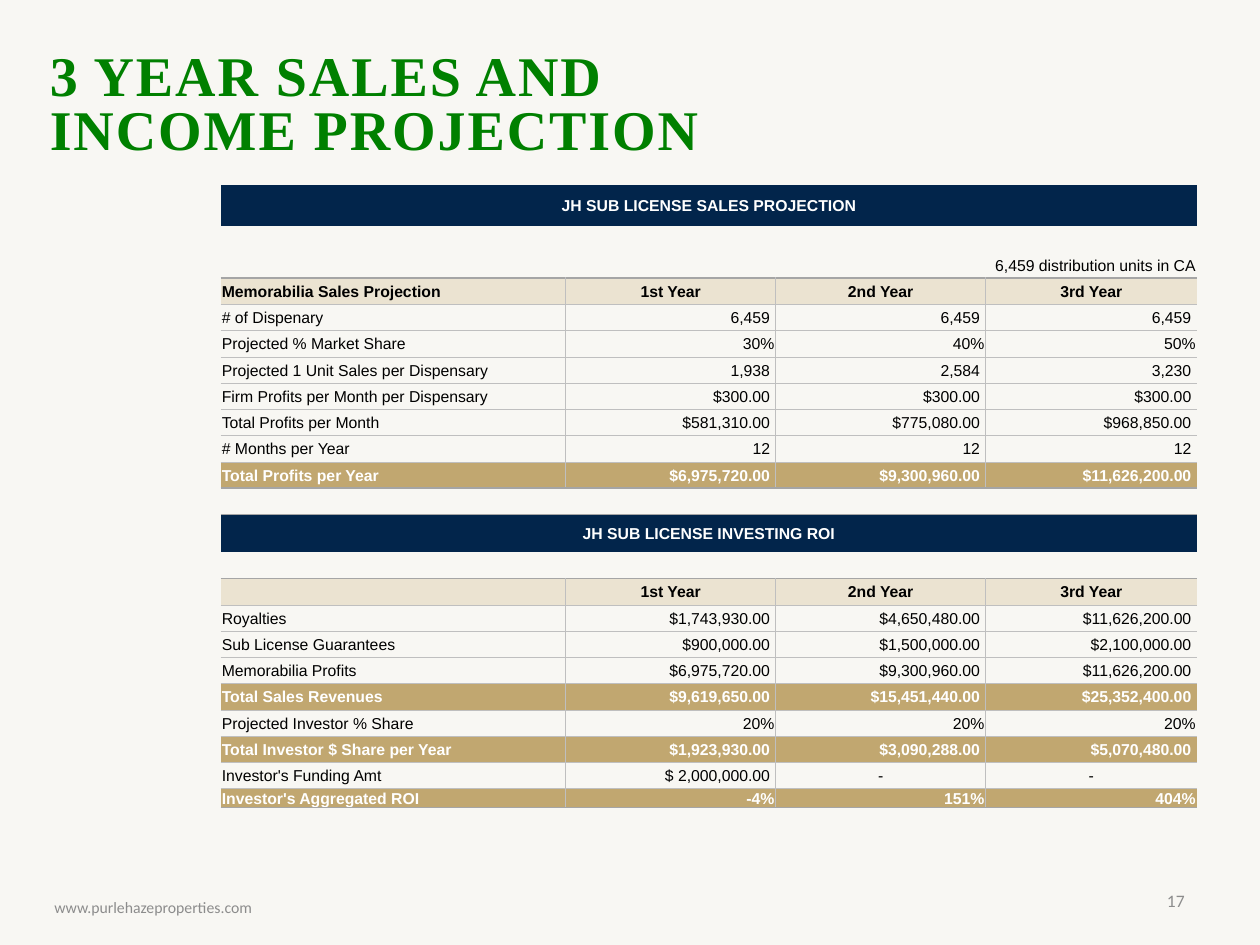
import lxml.etree
import pptx
import pptx.util
import pptx.dml.color
import pptx.enum.text
import pptx.oxml.ns

RGBColor = pptx.dml.color.RGBColor
ALIGN = pptx.enum.text.PP_ALIGN
ANCHOR = pptx.enum.text.MSO_ANCHOR
qn = pptx.oxml.ns.qn
PX = 9525

PAPER = RGBColor(0xF8, 0xF7, 0xF3)
GREEN = RGBColor(0x00, 0x80, 0x00)
NAVY = RGBColor(0x02, 0x25, 0x4B)
SAND = RGBColor(0xEB, 0xE3, 0xD1)
GOLD = RGBColor(0xC1, 0xA7, 0x70)
BLACK = RGBColor(0x00, 0x00, 0x00)
WHITE = RGBColor(0xFF, 0xFF, 0xFF)
FOOTER_GREY = RGBColor(0x8C, 0x8C, 0x8C)
LIGHT_RULE = (RGBColor(0xBF, 0xBF, 0xBF), 0.5)
HEAVY_RULE = (RGBColor(0xA5, 0xA5, 0xA5), 1)

ROW_STYLES = {
    "banner": (NAVY, WHITE, True),
    "gap": (None, BLACK, False),
    "note": (None, BLACK, False),
    "head": (SAND, BLACK, True),
    "body": (None, BLACK, False),
    "total": (GOLD, WHITE, True),
}
GRID_KINDS = ("head", "body", "total")
YEARS = ("1st Year", "2nd Year", "3rd Year")
ROWS = [
    ("banner", "JH SUB LICENSE SALES PROJECTION"),
    ("gap",),
    ("note", "6,459 distribution units in CA"),
    ("head", "Memorabilia Sales Projection", *YEARS),
    ("body", "# of Dispenary", "6,459 ", "6,459 ", "6,459 "),
    ("body", "Projected % Market Share", "30%", "40%", "50%"),
    ("body", "Projected 1 Unit Sales per Dispensary", "1,938 ", "2,584 ", "3,230 "),
    ("body", "Firm Profits per Month per Dispensary", "$300.00 ", "$300.00 ", "$300.00 "),
    ("body", "Total Profits per Month", "$581,310.00 ", "$775,080.00 ", "$968,850.00 "),
    ("body", "# Months per Year", "12 ", "12 ", "12 "),
    ("total", "Total Profits per Year", "$6,975,720.00 ", "$9,300,960.00 ", "$11,626,200.00 "),
    ("gap",),
    ("banner", "JH SUB LICENSE INVESTING ROI"),
    ("gap",),
    ("head", "", *YEARS),
    ("body", "Royalties", "$1,743,930.00 ", "$4,650,480.00 ", "$11,626,200.00 "),
    ("body", "Sub License Guarantees", "$900,000.00 ", "$1,500,000.00 ", "$2,100,000.00 "),
    ("body", "Memorabilia Profits", "$6,975,720.00 ", "$9,300,960.00 ", "$11,626,200.00 "),
    ("total", "Total Sales Revenues", "$9,619,650.00 ", "$15,451,440.00 ", "$25,352,400.00 "),
    ("body", "Projected Investor % Share", "20%", "20%", "20%"),
    ("total", "Total Investor $ Share per Year", "$1,923,930.00 ", "$3,090,288.00 ", "$5,070,480.00 "),
    ("body", "Investor's Funding Amt", "$ 2,000,000.00 ", "-", "-"),
    ("total", "Investor's Aggregated ROI", "-4%", "151%", "404%"),
]
COLUMN_WIDTHS = (263, 160, 160, 161)
ROW_HEIGHTS = [20] * len(ROWS)
ROW_HEIGHTS[0], ROW_HEIGHTS[12], ROW_HEIGHTS[-1] = 31, 29, 12


def format_font(font, size, name, color, bold=False):
    for key, value in {"size": pptx.util.Pt(size), "name": name, "bold": bold}.items():
        setattr(font, key, value)
    font.color.rgb = color


def rule_between(first, second):
    in_grid = [kind in GRID_KINDS for kind in (first, second)]
    if all(in_grid):
        return LIGHT_RULE
    return HEAVY_RULE if any(in_grid) else None


deck = pptx.Presentation()
deck.slide_width, deck.slide_height = 960 * PX, 720 * PX
slide = deck.slides.add_slide(deck.slide_layouts[5])
slide.background.fill.solid()
slide.background.fill.fore_color.rgb = PAPER

heading = slide.shapes.title
for key, value in {"left": 38, "top": 41, "width": 506, "height": 230}.items():
    setattr(heading, key, value * PX)
heading.text = "3 YEAR SALES AND INCOME PROJECTION"
for key, value in {
    "margin_left": 0, "margin_right": 0, "margin_top": 0, "margin_bottom": 0,
    "vertical_anchor": ANCHOR.TOP, "word_wrap": True,
    "auto_size": pptx.enum.text.MSO_AUTO_SIZE.NONE,
}.items():
    setattr(heading.text_frame, key, value)
heading_line = heading.text_frame.paragraphs[0]
heading_line.alignment = ALIGN.LEFT
heading_line.line_spacing = 0.8
format_font(heading_line.runs[0].font, 32, "Times New Roman", GREEN, True)
heading_line.runs[0].font._element.set("spc", "110")

projection = slide.shapes.add_table(
    len(ROWS), 4, 168 * PX, 141 * PX, sum(COLUMN_WIDTHS) * PX, sum(ROW_HEIGHTS) * PX
).table
projection.first_row = projection.horz_banding = False
projection._tbl.tblPr.find(qn("a:tableStyleId")).text = "{2D5ABB26-0587-4C30-8999-92F81FD0307C}"
for column, width in zip(projection.columns, COLUMN_WIDTHS):
    column.width = width * PX
for row, height in zip(projection.rows, ROW_HEIGHTS):
    row.height = height * PX

kinds = [kind for kind, *_ in ROWS]
for r, (kind, *texts) in enumerate(ROWS):
    fill_color, text_color, bold = ROW_STYLES[kind]
    above = kinds[r - 1] if r else None
    below = kinds[r + 1] if r + 1 < len(ROWS) else None
    if kind in ("banner", "note"):
        projection.cell(r, 0).merge(projection.cell(r, 3))
    for c in range(4):
        cell = projection.cell(r, c)
        for key, value in {
            "margin_left": PX, "margin_right": PX, "margin_top": PX, "margin_bottom": 0,
            "vertical_anchor": ANCHOR.MIDDLE,
        }.items():
            setattr(cell, key, value)

        side_rule = LIGHT_RULE if kind in GRID_KINDS else None
        edges = {
            "a:lnL": side_rule if c > 0 else None,
            "a:lnR": side_rule if c < 3 else None,
            "a:lnT": rule_between(above, kind),
            "a:lnB": rule_between(kind, below),
        }
        for tag, rule in edges.items():
            if rule:
                color, points = rule
                edge = lxml.etree.SubElement(
                    cell._tc.get_or_add_tcPr(), qn(tag), w=str(int(pptx.util.Pt(points))))
                edge_fill = lxml.etree.SubElement(edge, qn("a:solidFill"))
                lxml.etree.SubElement(edge_fill, qn("a:srgbClr"), val=str(color))
        if fill_color is None:
            cell.fill.background()
        else:
            cell.fill.solid()
            cell.fill.fore_color.rgb = fill_color

        line = cell.text_frame.paragraphs[0]
        text = texts[c] if c < len(texts) else ""
        if not text:
            lxml.etree.SubElement(line._p, qn("a:endParaRPr"), sz="900")
            continue
        if kind == "banner" or text == "-" or (kind == "head" and c):
            line.alignment = ALIGN.CENTER
        elif kind == "note" or c:
            line.alignment = ALIGN.RIGHT
        else:
            line.alignment = ALIGN.LEFT
        run = line.add_run()
        run.text = text
        format_font(run.font, 9, "Arial", text_color, bold)

for text, left, top, width, size, alignment in (
    ("www.purlehazeproperties.com", 32, 672, 304, 9, ALIGN.LEFT),
    ("17", 688, 667, 224, 10, ALIGN.RIGHT),
):
    footer = slide.shapes.add_textbox(left * PX, top * PX, width * PX, 38 * PX).text_frame
    footer.word_wrap = True
    footer.vertical_anchor = ANCHOR.MIDDLE
    footer.text = text
    footer.paragraphs[0].alignment = alignment
    format_font(footer.paragraphs[0].runs[0].font, size, "Calibri", FOOTER_GREY)

deck.save("out.pptx")
